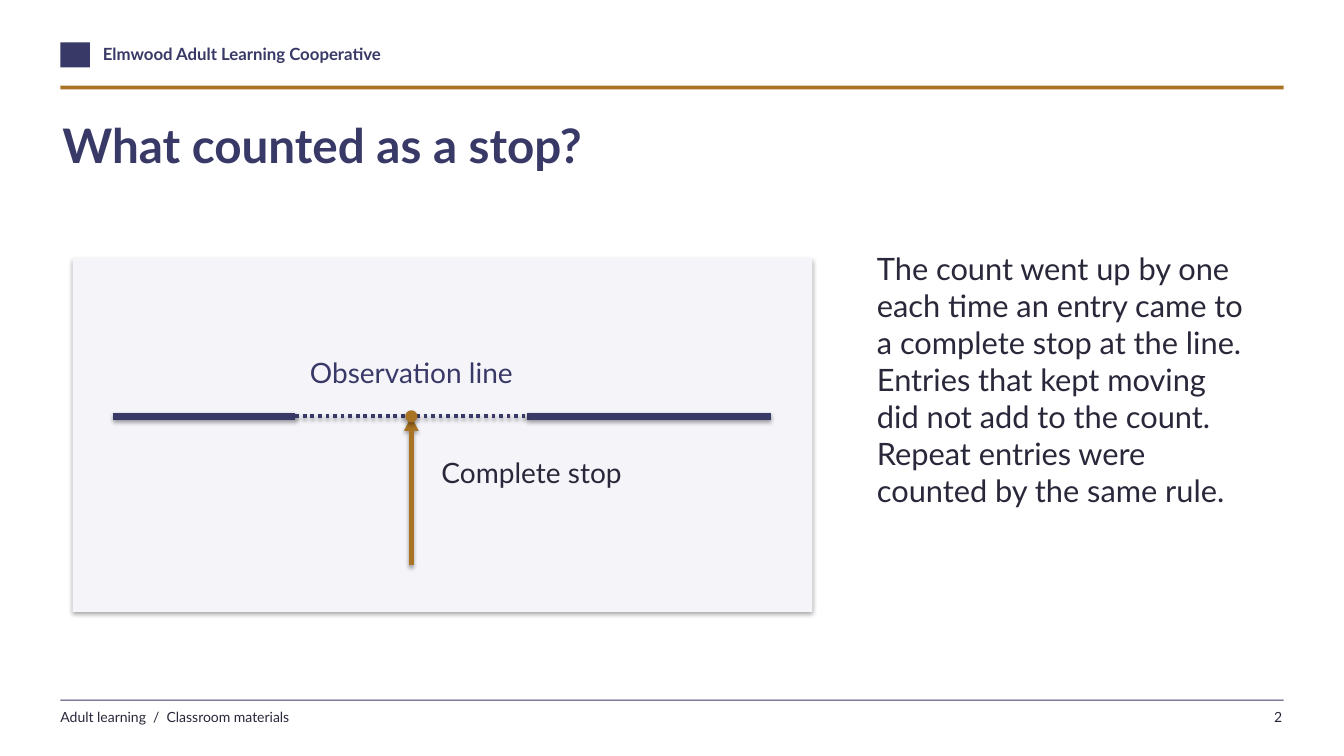
from dataclasses import dataclass

import lxml.etree
import pptx
import pptx.dml.color
import pptx.enum.dml
import pptx.enum.shapes
import pptx.enum.text
import pptx.oxml.ns
import pptx.util

SLIDE_W, SLIDE_H = 13.33, 7.5
FONT = "Lato"
COLORS = {
    "navy": "393967",
    "gold": "A87323",
    "ink": "29283A",
    "panel": "F5F4F9",
    "white": "FFFFFF",
    "shadow": "000000",
}
ALIGN = pptx.enum.text.PP_ALIGN
SHAPE = pptx.enum.shapes.MSO_SHAPE
qn = pptx.oxml.ns.qn

LEFT, SPAN = 4.5, 91
FOOTER_TOP, FOOTER_H = 93.73, 3.07
LINE_Y = 55.07
GAP_START, GAP_END = 21.98, 39.23
STOP_X = (GAP_START + GAP_END) / 2
DOT_W, DOT_H = 0.9, 1.6


@dataclass(frozen=True)
class Box:
    """Position and size in percent of the slide."""
    x: float
    y: float
    w: float
    h: float


@dataclass(frozen=True)
class Block:
    box: Box
    color: str
    kind: int = SHAPE.RECTANGLE
    shadow: bool = False


@dataclass(frozen=True)
class Stroke:
    start: tuple[float, float]
    end: tuple[float, float]
    color: str
    width: float
    dotted: bool = False
    arrow: bool = False


@dataclass(frozen=True)
class Label:
    box: Box
    text: str
    size: float
    color: str
    bold: bool = False
    align: int = ALIGN.LEFT
    wrap: bool = True
    space_after: float = 0


def px(share: float) -> int:
    return pptx.util.Inches(SLIDE_W * share / 100)


def py(share: float) -> int:
    return pptx.util.Inches(SLIDE_H * share / 100)


def place(box: Box) -> tuple[int, int, int, int]:
    return px(box.x), py(box.y), px(box.w), py(box.h)


def rgb(name: str) -> pptx.dml.color.RGBColor:
    return pptx.dml.color.RGBColor.from_string(COLORS[name])


def add_shadow(sp, distance: float, opacity: int) -> None:
    sp_pr = sp._element.spPr
    effects = sp_pr.find(qn("a:effectLst"))
    if effects is None:
        effects = lxml.etree.SubElement(sp_pr, qn("a:effectLst"))
    outer = lxml.etree.SubElement(
        effects, qn("a:outerShdw"), blurRad=str(pptx.util.Pt(3.1)),
        dist=str(pptx.util.Pt(distance)), dir="5400000", rotWithShape="0")
    color = lxml.etree.SubElement(outer, qn("a:srgbClr"), val=COLORS["shadow"])
    lxml.etree.SubElement(color, qn("a:alpha"), val=str(opacity * 1000))


def draw_block(s, block: Block) -> None:
    sp = s.shapes.add_shape(block.kind, *place(block.box))
    sp.fill.solid()
    sp.fill.fore_color.rgb = rgb(block.color)
    sp.line.fill.background()
    sp.shadow.inherit = False
    if block.shadow:
        add_shadow(sp, 1.8, 35)


def draw_stroke(s, stroke: Stroke) -> None:
    (x1, y1), (x2, y2) = stroke.start, stroke.end
    sp = s.shapes.add_connector(
        pptx.enum.shapes.MSO_CONNECTOR.STRAIGHT, px(x1), py(y1), px(x2), py(y2))
    sp.line.color.rgb = rgb(stroke.color)
    sp.line.width = pptx.util.Pt(stroke.width)
    if stroke.dotted:
        sp.line.dash_style = pptx.enum.dml.MSO_LINE.ROUND_DOT
    if stroke.arrow:
        ln = sp._element.spPr.find(qn("a:ln"))
        lxml.etree.SubElement(ln, qn("a:tailEnd"), type="triangle")
    add_shadow(sp, 1.6, 38)


def draw_label(s, label: Label) -> None:
    tf = s.shapes.add_textbox(*place(label.box)).text_frame
    tf.margin_left = tf.margin_right = tf.margin_top = tf.margin_bottom = 0
    tf.word_wrap = label.wrap
    p = tf.paragraphs[0]
    p.alignment = label.align
    p.space_after = pptx.util.Pt(label.space_after)
    r = p.add_run()
    r.text = label.text
    r.font.name = FONT
    r.font.size = pptx.util.Pt(label.size)
    r.font.bold = label.bold
    r.font.color.rgb = rgb(label.color)


FRAME = [
    Block(Box(LEFT, 5.6, 2.19, 3.33), "navy"),
    Block(Box(LEFT, 11.33, SPAN, 0.5), "gold"),
    Block(Box(LEFT, 92.53, SPAN, 0.15), "navy"),
]
PANEL = Block(Box(5.4, 34.13, 55.05, 46.8), "panel", shadow=True)
STROKES = [
    Stroke((8.4, LINE_Y), (GAP_START, LINE_Y), "navy", 5),
    Stroke((GAP_END, LINE_Y), (57.38, LINE_Y), "navy", 5),
    Stroke((GAP_START, LINE_Y), (GAP_END, LINE_Y), "navy", 2.7, dotted=True),
    Stroke((STOP_X, 74.8), (STOP_X, LINE_Y), "gold", 3.5, arrow=True),
]
STOP_DOT = Block(Box(STOP_X - DOT_W / 2, LINE_Y - DOT_H / 2, DOT_W, DOT_H),
                 "gold", SHAPE.OVAL, shadow=True)
LABELS = [
    Label(Box(7.65, 5.73, 45, 3.73), "Elmwood Adult Learning Cooperative",
          12, "navy", bold=True, space_after=4),
    Label(Box(LEFT, FOOTER_TOP, 52.5, FOOTER_H),
          "Adult learning  /  Classroom materials", 10, "ink", space_after=4),
    Label(Box(4.65, 15.33, 90, 14), "What counted as a stop?", 34, "navy", bold=True),
    Label(Box(65.25, 33.07, 27.6, 50.67),
          "The count went up by one each time an entry came to a complete stop "
          "at the line. Entries that kept moving did not add to the count. "
          "Repeat entries were counted by the same rule.", 22, "ink"),
    Label(Box(90.4, FOOTER_TOP, 5, FOOTER_H), "2", 10, "ink",
          align=ALIGN.RIGHT, wrap=False),
    Label(Box(GAP_START, 47.07, GAP_END - GAP_START, 5.07), "Observation line",
          20, "navy", align=ALIGN.CENTER, wrap=False),
    Label(Box(32.85, 60.27, 23.4, 5.47), "Complete stop", 20, "ink", wrap=False),
]


def main() -> None:
    prs = pptx.Presentation()
    prs.slide_width = pptx.util.Inches(SLIDE_W)
    prs.slide_height = pptx.util.Inches(SLIDE_H)
    s = prs.slides.add_slide(prs.slide_layouts[6])
    s.background.fill.solid()
    s.background.fill.fore_color.rgb = rgb("white")
    for block in [*FRAME, PANEL]:
        draw_block(s, block)
    for stroke in STROKES:
        draw_stroke(s, stroke)
    draw_block(s, STOP_DOT)
    for label in LABELS:
        draw_label(s, label)
    prs.save("out.pptx")


if __name__ == "__main__":
    main()
